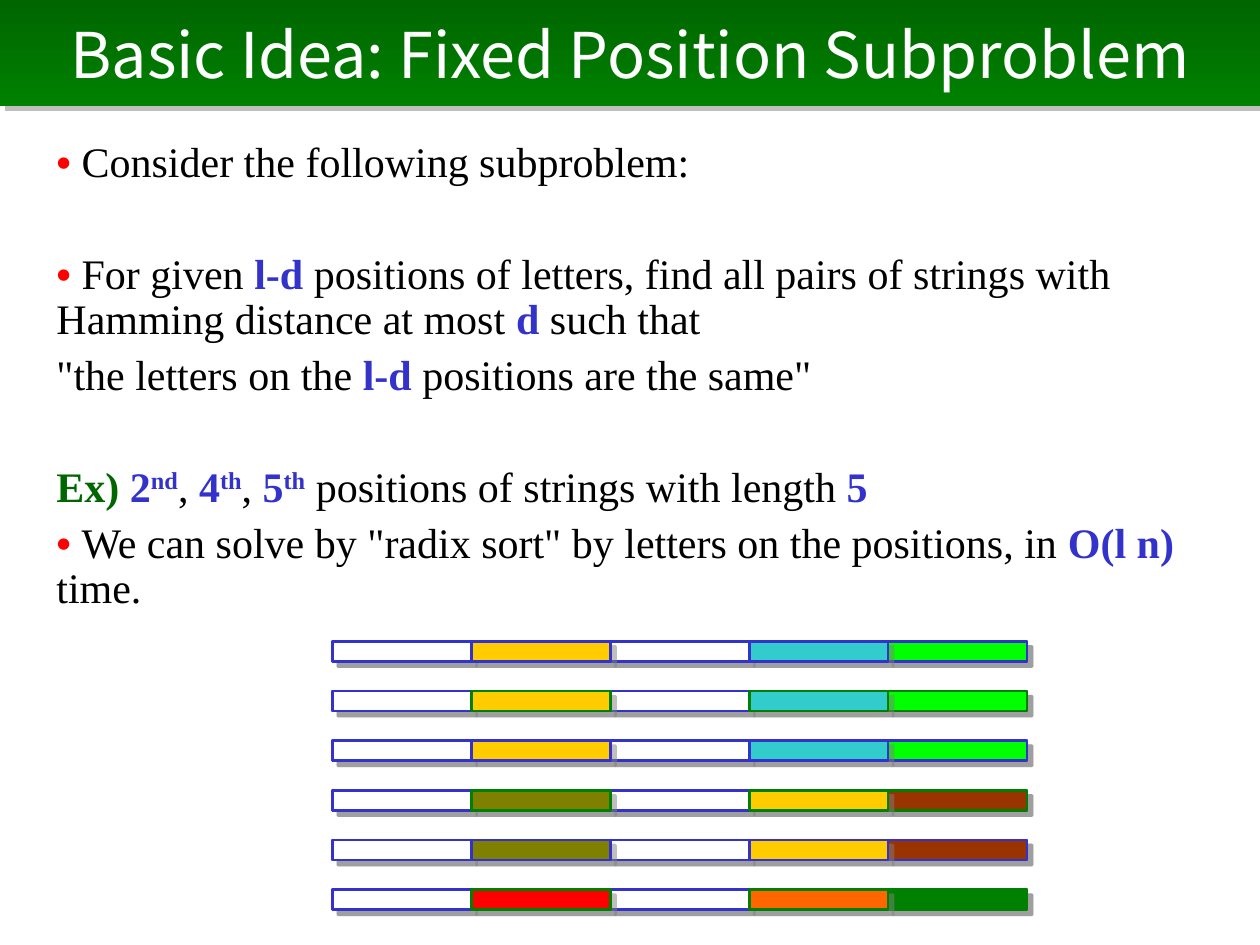
from typing import NamedTuple

from lxml import etree
from pptx import Presentation
from pptx.dml.color import RGBColor
from pptx.enum.shapes import MSO_SHAPE as Shape
from pptx.enum.text import MSO_ANCHOR as Anchor, PP_ALIGN as Align
from pptx.oxml.ns import qn
from pptx.util import Inches, Pt

WHITE = RGBColor(0xFF, 0xFF, 0xFF)
BLACK = RGBColor(0x00, 0x00, 0x00)
RED = RGBColor(0xFF, 0x00, 0x00)
BLUE = RGBColor(0x33, 0x33, 0xCC)
DARK_GREEN = RGBColor(0x00, 0x66, 0x00)
GREEN = RGBColor(0x00, 0x80, 0x00)
LIME = RGBColor(0x00, 0xFF, 0x00)
TEAL = RGBColor(0x33, 0xCC, 0xCC)
GOLD = RGBColor(0xFF, 0xCC, 0x00)
OLIVE = RGBColor(0x80, 0x80, 0x00)
BROWN = RGBColor(0x99, 0x33, 0x00)
ORANGE = RGBColor(0xFF, 0x66, 0x00)

TITLE_FONT = "Noto Sans CJK JP"
BODY_FONT = "Times New Roman"

BAR_LEFT, BAR_TOP = 2.64, 5.09
CELL_WIDTH, BAR_HEIGHT = 1.102, 0.16
BAR_PITCH = 0.394
CELL_COUNT = 5


class Piece(NamedTuple):
    text: str
    color: RGBColor = BLACK
    bold: bool = False
    superscript: bool = False


class Line(NamedTuple):
    pieces: list[Piece]
    space_before: float = 6


class StringBar(NamedTuple):
    """Colours of the fixed 2nd, 4th and 5th letters, and their outline."""
    second: RGBColor
    fourth: RGBColor
    fifth: RGBColor
    outline: RGBColor


def key(text: str) -> Piece:
    return Piece(text, BLUE, True)


def ordinal(number: str, suffix: str) -> list[Piece]:
    return [key(number), Piece(suffix, BLUE, True, True)]


BULLET = Piece("• ", RED, True)
SECTION_GAP = 38

LINES = [
    Line([BULLET, Piece("Consider the following subproblem:")], 0),
    Line([BULLET, Piece("For given "), key("l-d "),
          Piece("positions of letters, find all pairs of strings with Hamming distance at most "),
          key("d "), Piece("such that")], SECTION_GAP),
    Line([Piece('"the letters on the '), key("l-d "), Piece('positions are the same"')]),
    Line([Piece("Ex) ", DARK_GREEN, True), *ordinal("2", "nd"), Piece(", "),
          *ordinal("4", "th"), Piece(", "), *ordinal("5", "th"),
          Piece(" positions of strings with length "), key("5")], SECTION_GAP),
    Line([BULLET, Piece('We can solve by "radix sort" by letters on the positions, in '),
          key("O(l n)"), Piece(" time.")]),
]

STRING_BARS = [
    StringBar(GOLD, TEAL, LIME, BLUE),
    StringBar(GOLD, TEAL, LIME, GREEN),
    StringBar(GOLD, TEAL, LIME, BLUE),
    StringBar(OLIVE, GOLD, BROWN, GREEN),
    StringBar(OLIVE, GOLD, BROWN, BLUE),
    StringBar(RED, ORANGE, GREEN, GREEN),
]


def add_shadow(shape) -> None:
    """Give the shape a half-transparent grey shadow to the lower right."""
    shape.shadow.inherit = False
    effects = shape._element.spPr.find(qn("a:effectLst"))
    shadow = etree.SubElement(effects, qn("a:outerShdw"), dist=str(Pt(4.2)),
                              dir="2700000", algn="ctr", rotWithShape="0")
    color = etree.SubElement(shadow, qn("a:srgbClr"), val="808080")
    etree.SubElement(color, qn("a:alpha"), val="50000")


def add_title(slide, text: str) -> None:
    banner = slide.shapes.add_shape(Shape.RECTANGLE, 0, 0, Inches(10), Inches(0.84))
    banner.line.fill.background()
    banner.fill.gradient()
    banner.fill.gradient_angle = 270
    for stop, color in zip(banner.fill.gradient_stops, (DARK_GREEN, GREEN)):
        stop.color.rgb = color
    add_shadow(banner)
    frame = banner.text_frame
    frame.vertical_anchor = Anchor.MIDDLE
    paragraph = frame.paragraphs[0]
    paragraph.alignment = Align.CENTER
    run = paragraph.add_run()
    run.text = text
    run.font.name, run.font.size = TITLE_FONT, Pt(36)
    run.font.color.rgb = WHITE


def add_run(paragraph, piece: Piece) -> None:
    run = paragraph.add_run()
    run.text = piece.text
    run.font.name, run.font.size = BODY_FONT, Pt(24)
    run.font.bold = piece.bold
    run.font.color.rgb = piece.color
    if piece.superscript:
        run._r.get_or_add_rPr().set("baseline", "30000")


def add_body(slide, lines: list[Line]) -> None:
    box = slide.shapes.add_textbox(Inches(0.35), Inches(1.07), Inches(9.37), Inches(3.94))
    frame = box.text_frame
    frame.word_wrap = True
    for index, line in enumerate(lines):
        paragraph = frame.add_paragraph() if index else frame.paragraphs[0]
        paragraph.line_spacing = 0.9
        paragraph.space_before = Pt(line.space_before)
        for piece in line.pieces:
            add_run(paragraph, piece)


def add_cells(slide, top: float, first: int, count: int,
              fill: RGBColor, outline: RGBColor) -> None:
    """Draw one rectangle that covers count letters from the first one."""
    cell = slide.shapes.add_shape(
        Shape.RECTANGLE, Inches(BAR_LEFT + first * CELL_WIDTH), Inches(top),
        Inches(count * CELL_WIDTH), Inches(BAR_HEIGHT))
    cell.fill.solid()
    cell.fill.fore_color.rgb = fill
    cell.line.color.rgb = outline
    cell.line.width = Pt(1.5)
    add_shadow(cell)


def add_string_bar(slide, top: float, bar: StringBar) -> None:
    add_cells(slide, top, 0, CELL_COUNT, WHITE, BLUE)
    for position in (2, 0):
        add_cells(slide, top, position, 1, WHITE, BLUE)
    for position, fill in ((4, bar.fifth), (3, bar.fourth), (1, bar.second)):
        add_cells(slide, top, position, 1, fill, bar.outline)


def main() -> None:
    presentation = Presentation()
    presentation.slide_width, presentation.slide_height = Inches(10), Inches(7.5)
    slide = presentation.slides.add_slide(presentation.slide_layouts[6])
    add_title(slide, "Basic Idea: Fixed Position Subproblem")
    add_body(slide, LINES)
    for row, bar in enumerate(STRING_BARS):
        add_string_bar(slide, BAR_TOP + row * BAR_PITCH, bar)
    presentation.save("out.pptx")


if __name__ == "__main__":
    main()
